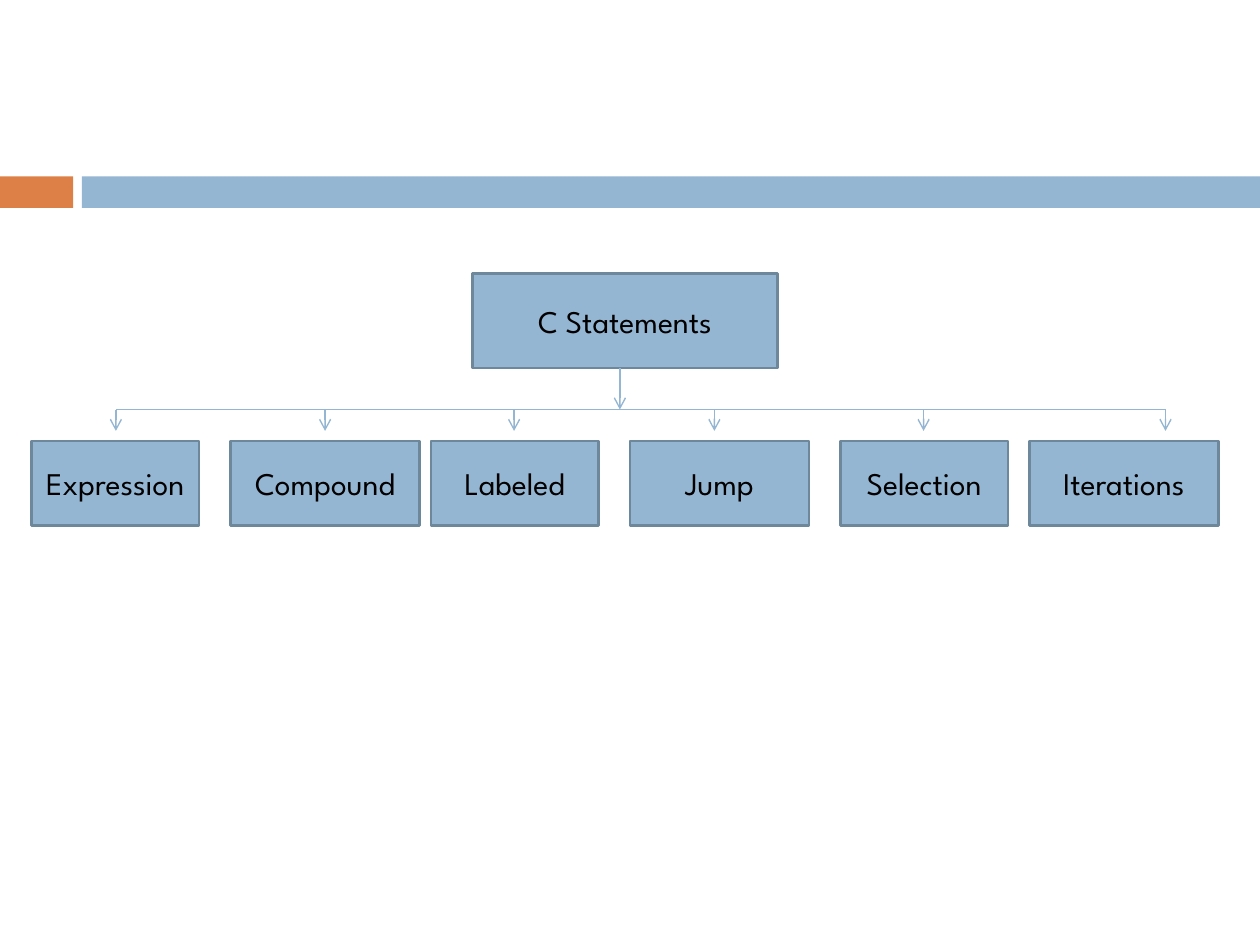
from lxml import etree
from pptx import Presentation
from pptx.dml.color import RGBColor
from pptx.enum import shapes, text
from pptx.oxml.ns import qn
from pptx.util import Inches, Pt

BLUE = RGBColor(0x94, 0xB6, 0xD2)
ORANGE = RGBColor(0xDD, 0x80, 0x47)
BORDER = RGBColor(0x6D, 0x87, 0x9B)
BLACK = RGBColor(0, 0, 0)

FONT = {"name": "League Spartan", "size": Pt(18)}
FRAME = {"word_wrap": True, "vertical_anchor": text.MSO_ANCHOR.MIDDLE}

prs = Presentation()
prs.slide_width, prs.slide_height = Inches(10), Inches(7.5)
slide = prs.slides.add_slide(prs.slide_layouts[6])


def add_box(left, top, width, height, fill=BLUE, label=None):
    """Add a plain band, or a bordered box when a label is given."""
    sp = slide.shapes.add_shape(shapes.MSO_SHAPE.RECTANGLE, Inches(left), Inches(top),
                                Inches(width), Inches(height))
    sp.shadow.inherit = False
    sp.fill.solid()
    sp.fill.fore_color.rgb = fill
    if label is None:
        sp.line.fill.background()
        return
    sp.line.color.rgb = BORDER
    sp.line.width = Pt(1.5)
    tf = sp.text_frame
    for key, value in FRAME.items():
        setattr(tf, key, value)
    p = tf.paragraphs[0]
    p.alignment = text.PP_ALIGN.CENTER
    r = p.add_run()
    r.text = label
    for key, value in FONT.items():
        setattr(r.font, key, value)
    r.font.color.rgb = BLACK


def add_line(x1, y1, x2, y2, arrow=True):
    cxn = slide.shapes.add_connector(shapes.MSO_CONNECTOR.STRAIGHT, Inches(x1), Inches(y1),
                                     Inches(x2), Inches(y2))
    cxn.line.color.rgb = BLUE
    cxn.line.width = Pt(0.79)
    if arrow:
        etree.SubElement(cxn.line._get_or_add_ln(), qn("a:tailEnd"), type="arrow")
    etree.SubElement(cxn._element.spPr, qn("a:effectLst"))


# Header band
add_box(0, 1.4, 0.58, 0.25, ORANGE)
add_box(0.65, 1.4, 9.35, 0.25)

# Tree: root, then one box per statement kind
add_box(3.75, 2.17, 2.42, 0.75, label="C Statements")

# label, box left, box width, arrow x
KINDS = [
    ("Expression", 0.25, 1.33, 0.92),
    ("Compound", 1.83, 1.5, 2.58),
    ("Labeled", 3.42, 1.33, 4.08),
    ("Jump", 5, 1.42, 5.67),
    ("Selection", 6.67, 1.33, 7.33),
    ("Iterations", 8.17, 1.5, 9.25),
]
BRANCH_Y = 3.25

add_line(KINDS[0][3], BRANCH_Y, KINDS[-1][3], BRANCH_Y, arrow=False)
for label, left, width, arrow_x in KINDS:
    add_box(left, 3.5, width, 0.67, label=label)
    add_line(arrow_x, BRANCH_Y, arrow_x, 3.42)
add_line(4.92, 2.92, 4.92, BRANCH_Y)

prs.save("out.pptx")
